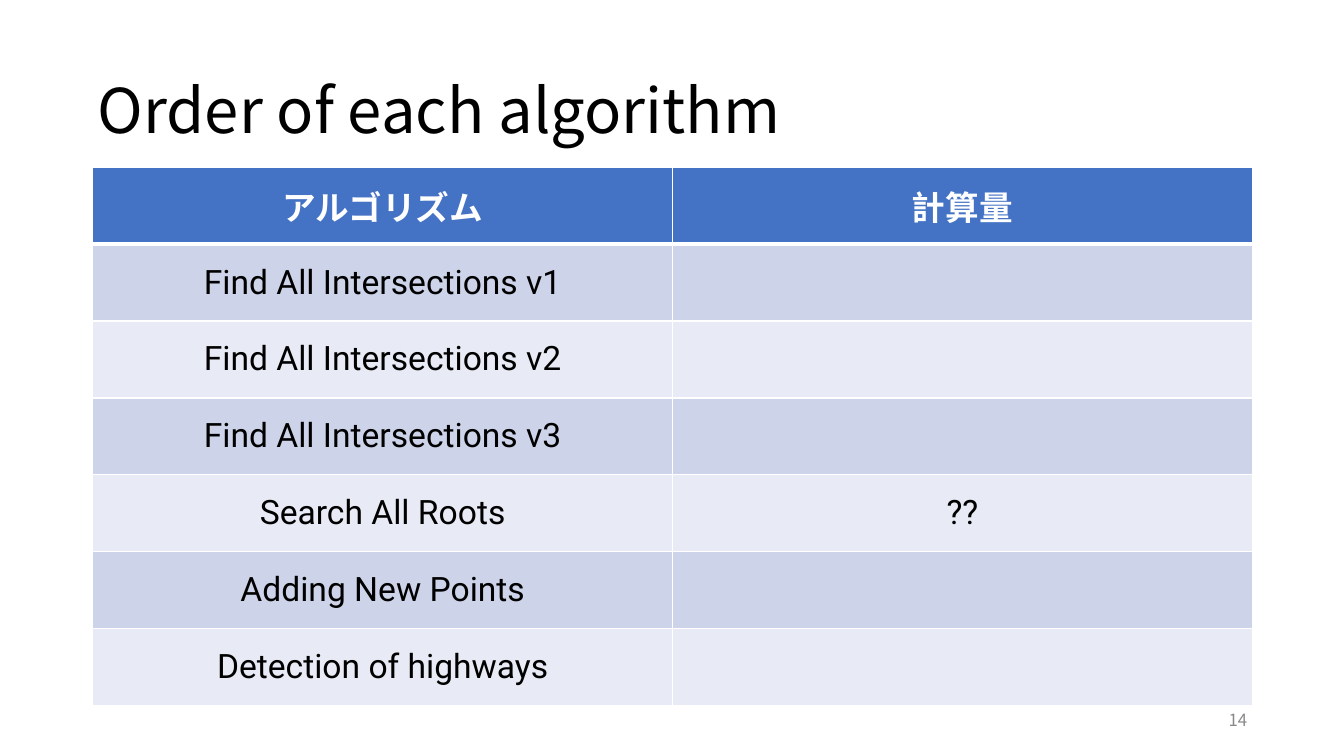
from lxml import etree
from pptx import Presentation
from pptx.dml.color import RGBColor
from pptx.enum.text import MSO_ANCHOR, PP_ALIGN
from pptx.oxml.ns import qn
from pptx.util import Inches, Pt

MIDDLE = MSO_ANCHOR.MIDDLE
LEFT, CENTER, RIGHT = PP_ALIGN.LEFT, PP_ALIGN.CENTER, PP_ALIGN.RIGHT
THEME = {
    "heading_font": "Noto Sans CJK JP", "table_font": "Roboto",
    "ink": "000000", "muted": "888888", "paper": "FFFFFF",
    "header": "4472C4", "bands": ("CDD4EA", "E8EBF5"),
    "title_size": 44, "table_size": 24, "number_size": 12,
    "rule": 1, "header_rule": 3,
}
INSET = Inches(0.05)
MARGINS = dict.fromkeys(
    ("margin_left", "margin_top", "margin_right", "margin_bottom"), INSET)


def write(frame, text, font, size, color, align, bold=False):
    """Fill a text frame with one line, in the same face for Latin and Japanese."""
    paragraph = frame.paragraphs[0]
    paragraph.alignment = align
    run = paragraph.add_run()
    run.text = text
    for key, value in {"name": font, "size": Pt(size), "bold": bold}.items():
        setattr(run.font, key, value)
    run.font.color.rgb = RGBColor.from_string(color)
    east_asian = etree.SubElement(run.font._element, qn("a:ea"))
    east_asian.set("typeface", THEME["heading_font"])
    return paragraph


def add_border(cell, side, width):
    properties = cell._tc.get_or_add_tcPr()
    line = etree.SubElement(properties, qn(f"a:ln{side}"), w=str(Pt(width)))
    fill = etree.SubElement(line, qn("a:solidFill"))
    etree.SubElement(fill, qn("a:srgbClr"), val=THEME["paper"])


prs = Presentation()
prs.slide_width, prs.slide_height = Inches(13.33), Inches(7.5)
slide = prs.slides.add_slide(prs.slide_layouts[6])

side_margin = Inches(0.92)
content_width = Inches(11.5)

# Title and page number
labels = [
    ("Order of each algorithm", side_margin, Inches(0.4), content_width, Inches(1.45),
     "title_size", "ink", LEFT, True),
    ("14", Inches(12.12), Inches(7), Inches(0.3), Inches(0.29),
     "number_size", "muted", RIGHT, False),
]
for text, left, top, width, height, size, color, align, wrap in labels:
    frame = slide.shapes.add_textbox(left, top, width, height).text_frame
    for key, value in {**MARGINS, "vertical_anchor": MIDDLE, "word_wrap": wrap}.items():
        setattr(frame, key, value)
    line = write(frame, text, THEME["heading_font"], THEME[size], THEME[color], align)
    if size == "title_size":
        line.line_spacing = 0.9

# Algorithms and their complexity
algorithms = [
    ("アルゴリズム", "計算量"),
    ("Find All Intersections v1", ""),
    ("Find All Intersections v2", ""),
    ("Find All Intersections v3", ""),
    ("Search All Roots", "??"),
    ("Adding New Points", ""),
    ("Detection of highways", ""),
]
table = slide.shapes.add_table(
    len(algorithms), 2, side_margin, Inches(1.66), content_width, Inches(5.34)).table

for row, entries in enumerate(algorithms):
    is_header = row == 0
    background = THEME["header"] if is_header else THEME["bands"][(row - 1) % 2]
    rules = {
        "L": THEME["rule"], "R": THEME["rule"],
        "T": THEME["header_rule"] if row == 1 else THEME["rule"],
        "B": THEME["header_rule"] if is_header else THEME["rule"],
    }
    for column, entry in enumerate(entries):
        cell = table.cell(row, column)
        for key, value in {**MARGINS, "vertical_anchor": MIDDLE}.items():
            setattr(cell, key, value)
        for side, width in rules.items():
            add_border(cell, side, width)
        cell.fill.solid()
        cell.fill.fore_color.rgb = RGBColor.from_string(background)
        if entry:
            write(cell.text_frame, entry, THEME["table_font"], THEME["table_size"],
                  THEME["paper"] if is_header else THEME["ink"], CENTER, is_header)

prs.save("out.pptx")
